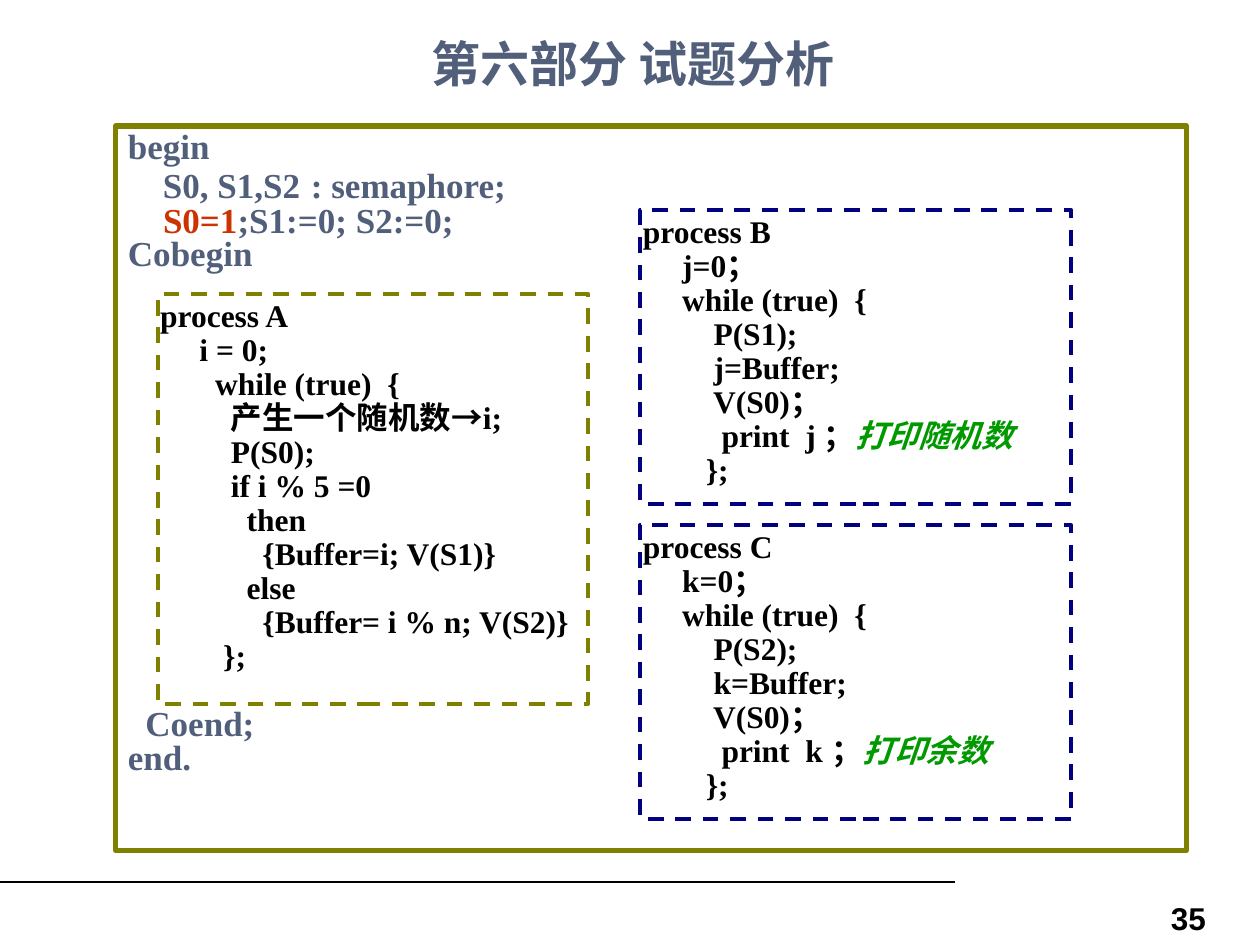
import pptx
import pptx.util
import pptx.dml.color
import pptx.enum.dml
import pptx.enum.shapes
import pptx.enum.text
import pptx.oxml
import pptx.oxml.ns

Cm = pptx.util.Cm
Pt = pptx.util.Pt
ALIGN = pptx.enum.text.PP_ALIGN
ANCHOR = pptx.enum.text.MSO_ANCHOR

SLATE, BLACK, RED, GREEN = "515F7B", "000000", "CC3300", "009900"
OLIVE, NAVY = "808000", "000080"
SERIF, SANS, CJK = "Times New Roman", "Arial", "Noto Sans CJK SC"


def color(hex_value):
    return pptx.dml.color.RGBColor.from_string(hex_value)


class SlideStyle:
    """Style of the deck together with the slide being drawn."""

    def __init__(self, deck):
        self.slide = deck.slides.add_slide(deck.slide_layouts[5])

    def run(self, paragraph, text, size, ink, face=SERIF, bold=True, italic=False):
        """Add styled text; a newline in it becomes a line break."""
        for index, piece in enumerate(text.split("\n")):
            if index:
                paragraph.add_line_break()
            run = paragraph.add_run()
            run.text = piece
            font = run.font
            font.size, font.name = Pt(size), face
            font.bold, font.italic = bold, italic
            font.color.rgb = color(ink)
            east_asian = pptx.oxml.parse_xml(
                f'<a:ea {pptx.oxml.ns.nsdecls("a")} typeface="{CJK}"/>')
            run.font._element.find(pptx.oxml.ns.qn("a:latin")).addnext(east_asian)

    def title(self, text, left, top, width, height):
        heading = self.slide.shapes.title
        heading.left, heading.top = Cm(left), Cm(top)
        heading.width, heading.height = Cm(width), Cm(height)
        frame = heading.text_frame
        frame.vertical_anchor = ANCHOR.MIDDLE
        frame.paragraphs[0].alignment = ALIGN.CENTER
        self.run(frame.paragraphs[0], text, 28, SLATE, CJK)

    def code_box(self, lines, left, top, width, height, edge, size, ink,
                 spacing, edge_width, dashed=False, side_inset=0.25):
        """Framed code; each line is a list of (text, changes) runs."""
        box = self.slide.shapes.add_shape(
            pptx.enum.shapes.MSO_SHAPE.RECTANGLE,
            Cm(left), Cm(top), Cm(width), Cm(height))
        box.shadow.inherit = False
        box.fill.background()
        box.line.color.rgb = color(edge)
        box.line.width = Pt(edge_width)
        if dashed:
            box.line.dash_style = pptx.enum.dml.MSO_LINE.DASH
        frame = box.text_frame
        frame.word_wrap = True
        frame.vertical_anchor = ANCHOR.TOP
        frame.margin_left = frame.margin_right = Cm(side_inset)
        for index, runs in enumerate(lines):
            paragraph = frame.add_paragraph() if index else frame.paragraphs[0]
            paragraph.alignment = ALIGN.LEFT
            paragraph.line_spacing = spacing
            properties = paragraph._p.get_or_add_pPr()
            properties.set("marL", str(Cm(0.95)))
            properties.set("indent", str(-Cm(0.95)))
            for text, changes in runs:
                self.run(paragraph, text, **{"size": size, "ink": ink, **changes})
        return frame

    def process(self, lines, left, top, height, edge):
        self.code_box(lines, left, top, 8.68, height, edge, size=18, ink=BLACK,
                      spacing=0.9, edge_width=2.25, dashed=True, side_inset=0.05)

    def rule(self, left, top, right):
        line = self.slide.shapes.add_connector(
            pptx.enum.shapes.MSO_CONNECTOR.STRAIGHT,
            Cm(left), Cm(top), Cm(right), Cm(top))
        line.line.color.rgb = color(BLACK)
        line.line.width = Pt(0.75)
        line._element.spPr.append(pptx.oxml.parse_xml(
            f'<a:effectLst {pptx.oxml.ns.nsdecls("a")}/>'))

    def page_number(self, text, left, top, width, height):
        box = self.slide.shapes.add_textbox(Cm(left), Cm(top), Cm(width), Cm(height))
        box.text_frame.word_wrap = True
        paragraph = box.text_frame.paragraphs[0]
        paragraph.alignment = ALIGN.RIGHT
        self.run(paragraph, text, 18, BLACK, SANS)


def plain(*texts):
    return [[(text, {})] for text in texts]


def consumer(name, variable, semaphore, comment):
    """Code of a process that takes from the buffer and prints."""
    return [
        *plain(f"process {name}",
               f"     {variable}=0；",
               f"     while (true)  {{\n   P({semaphore});\n   {variable}=Buffer;",
               "         V(S0)；"),
        [(f"          print  {variable} ；", {}),
         (comment, {"ink": GREEN, "italic": True})],
        *plain("        };"),
    ]


def main():
    deck = pptx.Presentation()
    deck.slide_width, deck.slide_height = Cm(25.4), Cm(19.05)
    page = SlideStyle(deck)

    # Footer
    page.rule(0, 17.78, 19.25)
    page.page_number("35", 18.63, 18, 5.93, 0.69)

    # Title
    page.title("第六部分 试题分析", 1.27, 0.64, 22.99, 1.27)

    # Main program, with room for the processes before Coend
    program = [
        *plain("begin"),
        [("    S0, S1,S2", {}),
         (" ", {"size": 24, "ink": BLACK, "bold": False}),
         (": semaphore;", {})],
        [("    ", {}), ("S0=1", {"ink": RED}), (";S1:=0; S2:=0;", {})],
        *plain("Cobegin", "  Coend;", "end."),
    ]
    frame = page.code_box(program, 2.33, 2.54, 21.59, 14.6, OLIVE, size=20,
                          ink=SLATE, spacing=0.8, edge_width=3)
    frame.paragraphs[4].space_before = Pt(249.5)

    # Producer
    producer = plain(
        "process A",
        "     i = 0;\n while (true)  {\n   产生一个随机数→i;\n   P(S0);\n   if i % 5 =0",
        "           then",
        "             {Buffer=i; V(S1)}",
        "           else",
        "             {Buffer= i % n; V(S2)}",
        "        };")
    page.process(producer, 3.18, 5.93, 8.26, OLIVE)

    # Consumers
    page.process(consumer("B", "j", "S1", "打印随机数"), 12.91, 4.23, 5.93, NAVY)
    page.process(consumer("C", "k", "S2", "打印余数"), 12.91, 10.58, 5.93, NAVY)

    deck.save("out.pptx")


if __name__ == "__main__":
    main()
